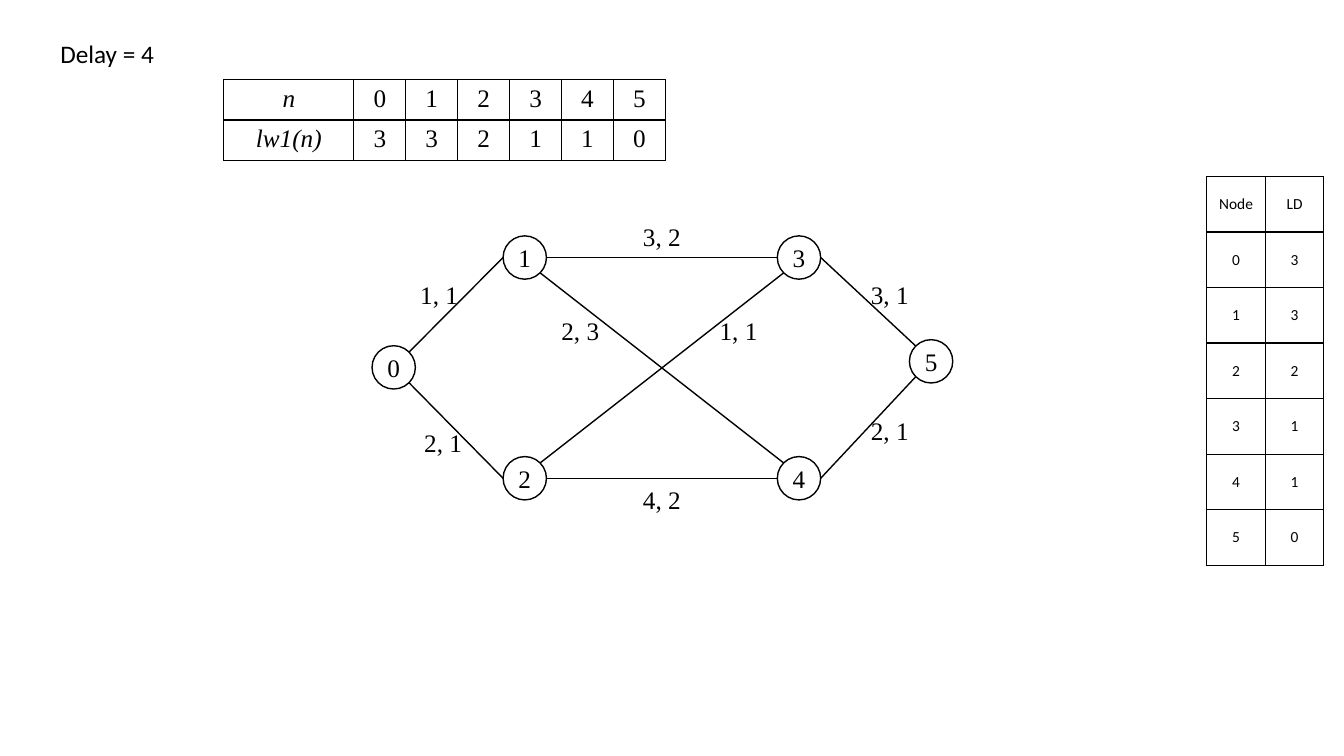
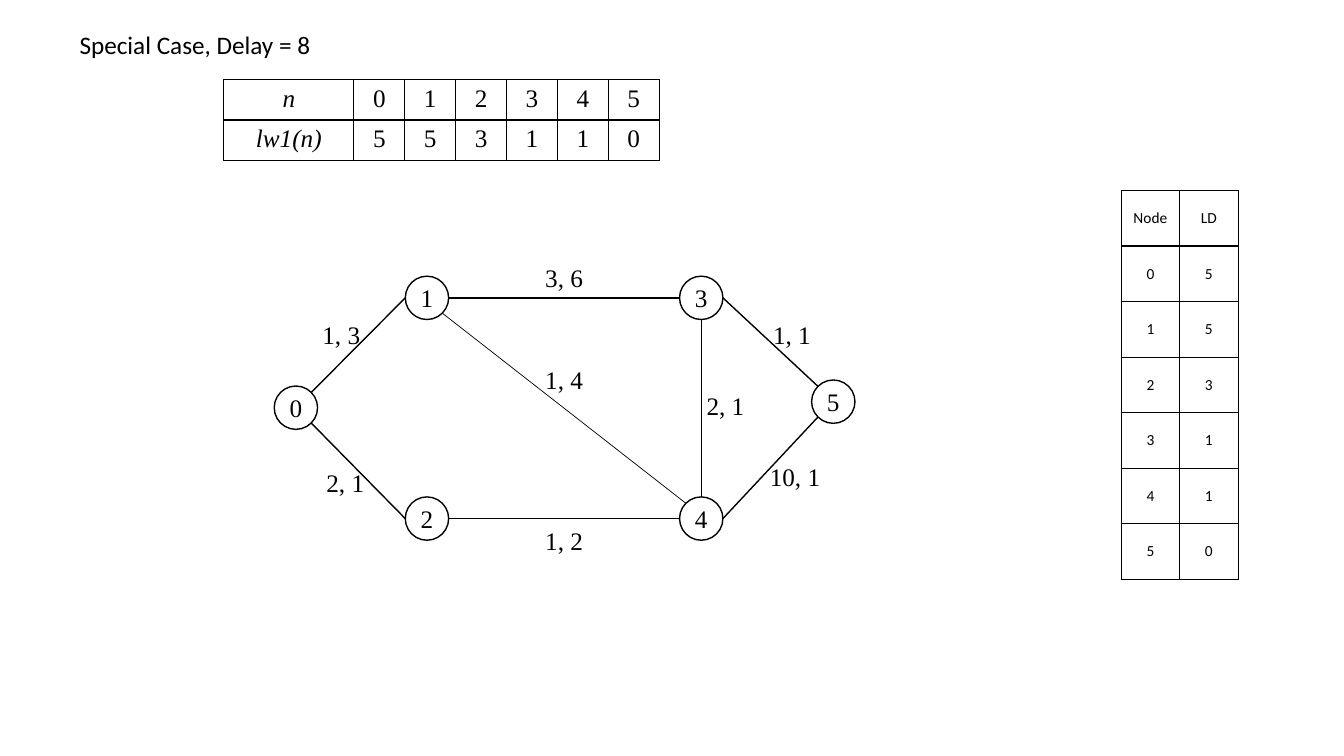
from lxml import etree
from pptx import Presentation
from pptx.dml.color import RGBColor
from pptx.enum import shapes, text
from pptx.oxml import ns
from pptx.util import Inches, Pt

BLACK = RGBColor(0x00, 0x00, 0x00)
WHITE = RGBColor(0xFF, 0xFF, 0xFF)
SANS, SERIF = "Calibri", "Times New Roman"
CENTER, LEFT = text.PP_ALIGN.CENTER, text.PP_ALIGN.LEFT
MIDDLE, TOP = text.MSO_ANCHOR.MIDDLE, text.MSO_ANCHOR.TOP

# Graph layout, in inches from the graph's top left corner
NODE_SIZE = 0.43
NODES = [(0, 1.09), (1.3, 0), (1.3, 2.19), (4.02, 0), (4.02, 2.19), (5.33, 1.03)]
DIAG = 0.5 ** 0.5
SITES = {"n": (0, -1), "s": (0, 1), "w": (-1, 0), "e": (1, 0),
         "nw": (-DIAG, -DIAG), "ne": (DIAG, -DIAG),
         "sw": (-DIAG, DIAG), "se": (DIAG, DIAG)}

# Edges that both graphs have: from node, site, to node, site, label position
OUTER = [(0, "ne", 1, "w", (0.26, 0.38)),
         (0, "se", 2, "w", (0.3, 1.85)),
         (1, "e", 3, "w", (2.47, -0.19)),
         (2, "e", 4, "w", (2.47, 2.42)),
         (3, "e", 5, "nw", (4.73, 0.38))]

# Further edges also give their label and line width
SLIDES = [
    dict(title="Delay = 4", title_box=(0.5, 0.33, 1.3),
         delays=[3, 3, 2, 1, 1, 0], number_width=0.515,
         node_table=(11.97, 1.75), graph=(3.69, 2.34),
         outer_labels=["1, 1", "2, 1", "3, 2", "4, 2", "3, 1"],
         edges=[(4, "e", 5, "sw", (4.73, 1.73), "2, 1", 1),
                (1, "se", 4, "nw", (1.66, 0.74), "2, 3", 1),
                (2, "ne", 3, "sw", (3.23, 0.74), "1, 1", 1)]),
    dict(title="Special Case, Delay = 8", title_box=(0.69, 0.24, 5.39),
         delays=[5, 5, 3, 1, 1, 0], number_width=0.505,
         node_table=(11.12, 1.89), graph=(2.72, 2.74),
         outer_labels=["1, 3", "2, 1", "3, 6", "1, 2", "1, 1"],
         edges=[(4, "e", 5, "sw", (4.76, 1.79), "10, 1", 1),
                (3, "s", 4, "n", (4.07, 1.08), "2, 1", 0.5),
                (1, "se", 4, "nw", (2.47, 0.83), "1, 4", 0.5)]),
]


def write(tf, value, font, size=18, align=CENTER, italic=False):
    tf.text = str(value)
    p = tf.paragraphs[0]
    p.alignment = align
    r = p.runs[0]
    r.font.name, r.font.size, r.font.italic = font, Pt(size), italic
    r.font.color.rgb = BLACK


def add_label(s, x, y, w, value, font=SERIF, align=CENTER):
    tf = s.shapes.add_textbox(Inches(x), Inches(y), Inches(w), Inches(0.4)).text_frame
    tf.word_wrap = True
    write(tf, value, font, align=align)


def add_borders(cell):
    tc_pr = cell._tc.get_or_add_tcPr()
    for side in ("lnL", "lnR", "lnT", "lnB"):
        ln = etree.SubElement(tc_pr, ns.qn(f"a:{side}"), w=str(Pt(1)))
        fill = etree.SubElement(ln, ns.qn("a:solidFill"))
        etree.SubElement(fill, ns.qn("a:srgbClr"), val=str(BLACK))


def add_grid(s, x, y, widths, row_height, rows, font, size, anchor, margin):
    """Bordered table; cells that hold words in the serif font are italic."""
    table = s.shapes.add_table(len(rows), len(widths), Inches(x), Inches(y),
                               Inches(sum(widths)), Inches(row_height * len(rows))).table
    table.first_row = table.horz_banding = False
    for col, width in zip(table.columns, widths):
        col.width = Inches(width)
    for row, values in zip(table.rows, rows):
        row.height = Inches(row_height)
        for cell, value in zip(row.cells, values):
            add_borders(cell)
            cell.fill.solid()
            cell.fill.fore_color.rgb = WHITE
            cell.vertical_anchor = anchor
            cell.margin_left = cell.margin_right = Inches(margin)
            write(cell.text_frame, value, font, size,
                  italic=font == SERIF and isinstance(value, str))


def add_delay_table(s, x, y, number_width, delays):
    rows = [["n", *range(len(delays))], ["lw1(n)", *delays]]
    add_grid(s, x, y, [1.29] + [number_width] * len(delays), 0.4, rows,
             SERIF, 18, TOP, 0.1)


def add_node_table(s, x, y, delays):
    rows = [("Node", "LD"), *enumerate(delays)]
    add_grid(s, x, y, [0.58, 0.58], 3.86 / len(rows), rows, SANS, 11, MIDDLE, 0.05)


def add_node(s, x, y, name):
    sp = s.shapes.add_shape(shapes.MSO_SHAPE.OVAL, Inches(x), Inches(y),
                            Inches(NODE_SIZE), Inches(NODE_SIZE))
    sp.shadow.inherit = False
    sp.fill.solid()
    sp.fill.fore_color.rgb = WHITE
    sp.line.color.rgb = BLACK
    sp.line.width = Pt(1)
    tf = sp.text_frame
    tf.margin_left = tf.margin_right = tf.margin_top = tf.margin_bottom = 0
    tf.vertical_anchor = MIDDLE
    write(tf, name, SERIF)


def add_graph(s, x, y, edges):
    def site(node, side):
        radius = NODE_SIZE / 2
        return [Inches(origin + offset + radius * (1 + direction))
                for origin, offset, direction in zip((x, y), NODES[node], SITES[side])]

    for name, (dx, dy) in enumerate(NODES):
        add_node(s, x + dx, y + dy, name)
    for start, start_side, end, end_side, (dx, dy), label, width in edges:
        line = s.shapes.add_connector(shapes.MSO_CONNECTOR.STRAIGHT,
                                      *site(start, start_side), *site(end, end_side))
        line.line.color.rgb = BLACK
        line.line.width = Pt(width)
        etree.SubElement(line._element.spPr, ns.qn("a:effectLst"))
        add_label(s, x + dx, y + dy, 0.81, label)


def add_delay_slide(prs, case):
    s = prs.slides.add_slide(prs.slide_layouts[6])
    add_label(s, *case["title_box"], case["title"], SANS, LEFT)
    add_delay_table(s, 2.22, 0.79, case["number_width"], case["delays"])
    add_node_table(s, *case["node_table"], case["delays"])
    outer = [(*edge, label, 1) for edge, label in zip(OUTER, case["outer_labels"])]
    add_graph(s, *case["graph"], outer + case["edges"])


def main():
    prs = Presentation()
    prs.slide_width, prs.slide_height = Inches(13.33), Inches(7.5)
    for case in SLIDES:
        add_delay_slide(prs, case)
    prs.save("out.pptx")


if __name__ == "__main__":
    main()
